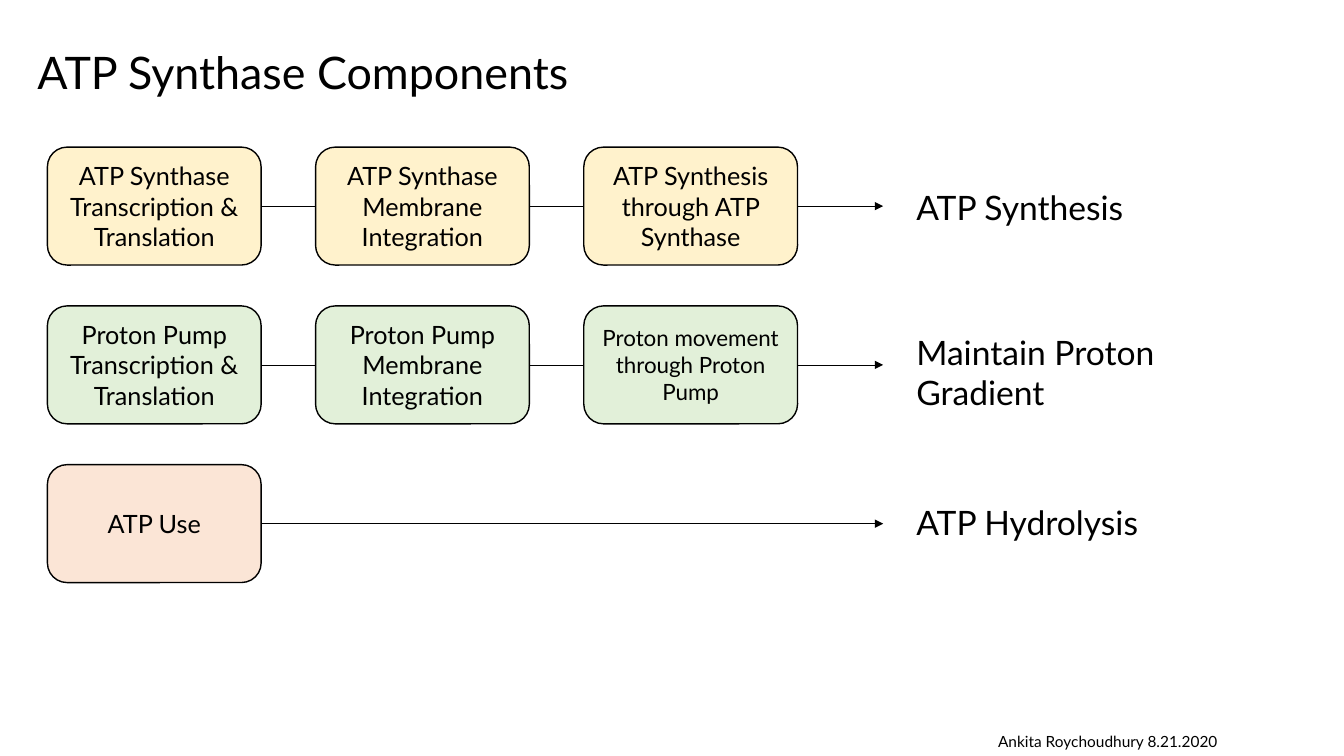
from lxml import etree
from pptx import Presentation
from pptx.dml.color import RGBColor
from pptx.enum.shapes import MSO_CONNECTOR, MSO_SHAPE
from pptx.enum.text import MSO_ANCHOR, PP_ALIGN
from pptx.oxml.ns import qn
from pptx.util import Inches, Pt

ROUNDED, STRAIGHT = MSO_SHAPE.ROUNDED_RECTANGLE, MSO_CONNECTOR.STRAIGHT
LEFT, CENTER = PP_ALIGN.LEFT, PP_ALIGN.CENTER
TOP, MIDDLE = MSO_ANCHOR.TOP, MSO_ANCHOR.MIDDLE
RIGHT_SIDE, LEFT_SIDE = 3, 1

COLORS = {"ink": "000000", "synthase": "FFF2CC", "pump": "E2F0D9", "use": "FBE5D6"}

# Grid of steps, in inches
GRID_X, GRID_Y = 0.47, 1.46
COL_STEP, ROW_STEP = 2.66, 1.575
BOX_W, BOX_H = 2.12, 1.17
ARROW_END, OUTCOME_X = 8.76, 8.99

# Each row: fill, steps with text size, outcome with top, width and height
ROWS = [
    ("synthase",
     [("ATP Synthase Transcription & Translation", 18),
      ("ATP Synthase Membrane Integration", 18),
      ("ATP Synthesis through ATP Synthase", 18)],
     ("ATP Synthesis", 1.81, 2.35, 0.5)),
    ("pump",
     [("Proton Pump Transcription & Translation", 18),
      ("Proton Pump Membrane Integration", 18),
      ("Proton movement through Proton Pump", 16)],
     ("Maintain Proton Gradient", 3.24, 2.73, 0.91)),
    ("use", [("ATP Use", 18)], ("ATP Hydrolysis", 4.93, 2.73, 0.5)),
]


def write(sp, text, size, align=LEFT, anchor=TOP, wrap=True):
    tf = sp.text_frame
    tf.word_wrap, tf.vertical_anchor = wrap, anchor
    p = tf.paragraphs[0]
    p.alignment = align
    r = p.add_run()
    r.text = text
    for name, value in {"name": "Lato", "size": Pt(size)}.items():
        setattr(r.font, name, value)
    r.font.color.rgb = RGBColor.from_string(COLORS["ink"])
    return p


def connect(start, x2, y, end=None):
    line = s.shapes.add_connector(STRAIGHT, start.left + start.width, y, x2, y)
    line.begin_connect(start, RIGHT_SIDE)
    line.line.color.rgb = RGBColor.from_string(COLORS["ink"])
    line.line.width = Pt(0.5)
    if end is not None:
        line.end_connect(end, LEFT_SIDE)
    else:
        tail = etree.SubElement(line.line._get_or_add_ln(), qn("a:tailEnd"))
        tail.set("type", "triangle")
    etree.SubElement(line._element.spPr, qn("a:effectLst"))


prs = Presentation()
prs.slide_width, prs.slide_height = Inches(13.33), Inches(7.5)
s = prs.slides.add_slide(prs.slide_layouts[5])

# Title
title = s.shapes.title
title.left, title.top, title.width, title.height = map(Inches, (0.27, 0.02, 11.5, 1.45))
write(title, "ATP Synthase Components", 32, anchor=MIDDLE).line_spacing = 0.9

# Process rows
for row, (fill, steps, (outcome, top, width, height)) in enumerate(ROWS):
    y = GRID_Y + row * ROW_STEP
    middle = Inches(y + BOX_H / 2)
    previous = None
    for col, (text, size) in enumerate(steps):
        sp = s.shapes.add_shape(ROUNDED, Inches(GRID_X + col * COL_STEP), Inches(y),
                                Inches(BOX_W), Inches(BOX_H))
        sp.shadow.inherit = False
        sp.fill.solid()
        sp.fill.fore_color.rgb = RGBColor.from_string(COLORS[fill])
        sp.line.color.rgb = RGBColor.from_string(COLORS["ink"])
        sp.line.width = Pt(1)
        write(sp, text, size, CENTER, MIDDLE)
        if previous is not None:
            connect(previous, sp.left, middle, sp)
        previous = sp

    # Arrow to the outcome
    connect(previous, Inches(ARROW_END), middle)
    box = s.shapes.add_textbox(*map(Inches, (OUTCOME_X, top, width, height)))
    write(box, outcome, 24)

# Author and date
credit = s.shapes.add_textbox(*map(Inches, (9.8, 7.21, 2.39, 0.29)))
write(credit, "Ankita Roychoudhury 8.21.2020", 11, wrap=False)

prs.save("out.pptx")
